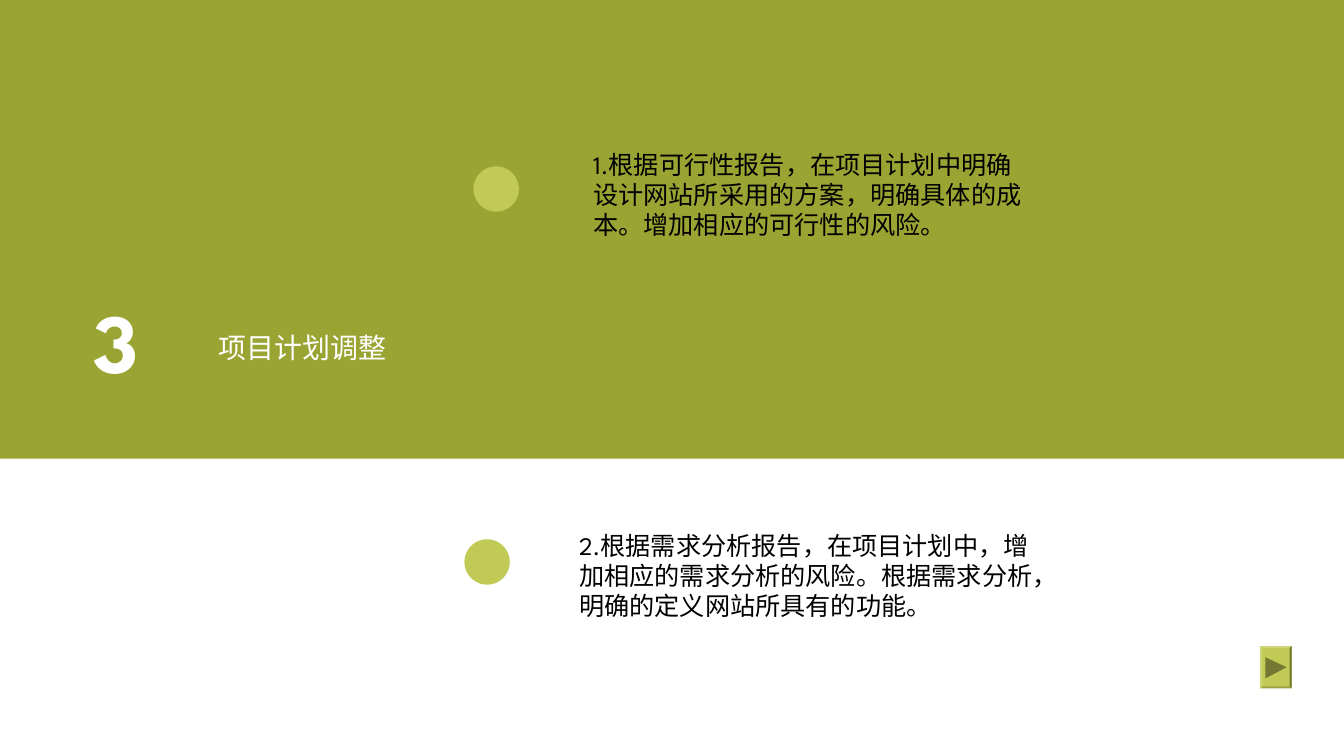
from dataclasses import dataclass

from pptx import Presentation
from pptx.dml.color import RGBColor
from pptx.enum.shapes import MSO_SHAPE
from pptx.enum.text import MSO_ANCHOR, PP_ALIGN
from pptx.util import Inches, Pt

RECTANGLE, OVAL = MSO_SHAPE.RECTANGLE, MSO_SHAPE.OVAL
TOP, BOTTOM = MSO_ANCHOR.TOP, MSO_ANCHOR.BOTTOM
LEFT = PP_ALIGN.LEFT
FONT = "League Spartan"
COLORS = {
    "band": "9AA433",
    "dot": "C0CA54",
    "white": "FFFFFF",
    "black": "000000",
    "bevel_light": "CDD576",
    "bevel_bottom": "9AA243",
    "bevel_dark": "737932",
}


@dataclass
class Label:
    text: str
    box: tuple[float, float, float, float]
    size: int
    color: str
    anchor: MSO_ANCHOR
    bold: bool = False
    line_spacing: float = 1.0


@dataclass
class Point:
    dot: tuple[float, float]
    label: Label


TITLE = Label("项目计划调整", (2.07, 3.26, 4.18, 0.4), 20, "white", BOTTOM, line_spacing=0.8)
NUMBER = Label("3", (0.83, 3, 1.24, 0.91), 60, "white", BOTTOM, True, 0.8)
POINTS = [
    Point((4.7, 1.65), Label(
        "1.根据可行性报告，在项目计划中明确设计网站所采用的方案，明确具体的成本。增加相应的可行性的风险。",
        (5.79, 1.43, 4.46, 1.3), 18, "black", TOP)),
    Point((4.61, 5.35), Label(
        "2.根据需求分析报告，在项目计划中，增加相应的需求分析的风险。根据需求分析，明确的定义网站所具有的功能。",
        (5.65, 5.21, 4.76, 1), 18, "black", TOP)),
]
DOT_SIZE = 0.45
BUTTON = (12.51, 6.41, 12.82, 6.83)
BEVEL = 0.02
ARROW = [(12.56, 6.52), (12.77, 6.62), (12.56, 6.73)]


def paint(shape, color: str) -> None:
    shape.shadow.inherit = False
    shape.fill.solid()
    shape.fill.fore_color.rgb = RGBColor.from_string(COLORS[color])
    shape.line.fill.background()


def add_block(page, kind: MSO_SHAPE, box: tuple, color: str):
    shape = page.shapes.add_shape(kind, *map(Inches, box))
    paint(shape, color)
    return shape


def add_polygon(page, corners: list, color: str) -> None:
    start, *rest = [(Inches(x), Inches(y)) for x, y in corners]
    builder = page.shapes.build_freeform(*start)
    builder.add_line_segments(rest, close=True)
    paint(builder.convert_to_shape(), color)


def write_label(shape, label: Label) -> None:
    for name, value in zip(("left", "top", "width", "height"), label.box):
        setattr(shape, name, Inches(value))
    frame = shape.text_frame
    frame.word_wrap = True
    frame.vertical_anchor = label.anchor
    para = frame.paragraphs[0]
    para.alignment = LEFT
    para.line_spacing = label.line_spacing
    span = para.add_run()
    span.text = label.text
    formats = {"name": FONT, "size": Pt(label.size), "bold": label.bold}
    for name, value in formats.items():
        setattr(span.font, name, value)
    span.font.color.rgb = RGBColor.from_string(COLORS[label.color])


def add_label(page, label: Label) -> None:
    write_label(page.shapes.add_textbox(*map(Inches, label.box)), label)


def add_next_button(page) -> None:
    left, top, right, bottom = BUTTON
    outer = [(left, top), (right, top), (right, bottom), (left, bottom)]
    inner = [
        (left + BEVEL, top + BEVEL), (right - BEVEL, top + BEVEL),
        (right - BEVEL, bottom - BEVEL), (left + BEVEL, bottom - BEVEL),
    ]
    add_polygon(page, outer, "dot")
    sides = ("bevel_light", "bevel_dark", "bevel_bottom", "bevel_light")
    for index, color in enumerate(sides):
        after = (index + 1) % len(sides)
        add_polygon(page, [outer[index], outer[after], inner[after], inner[index]], color)
    add_polygon(page, ARROW, "bevel_dark")


def main() -> None:
    deck = Presentation()
    deck.slide_width, deck.slide_height = Inches(13.34), Inches(7.5)
    page = deck.slides.add_slide(deck.slide_layouts[5])
    title = page.shapes.title
    band = add_block(page, RECTANGLE, (0, 0, 13.34, 4.55), "band")
    title.element.addprevious(band.element)
    write_label(title, TITLE)
    add_label(page, NUMBER)
    for point in POINTS:
        add_block(page, OVAL, (*point.dot, DOT_SIZE, DOT_SIZE), "dot")
        add_label(page, point.label)
    add_next_button(page)
    deck.save("out.pptx")


if __name__ == "__main__":
    main()
